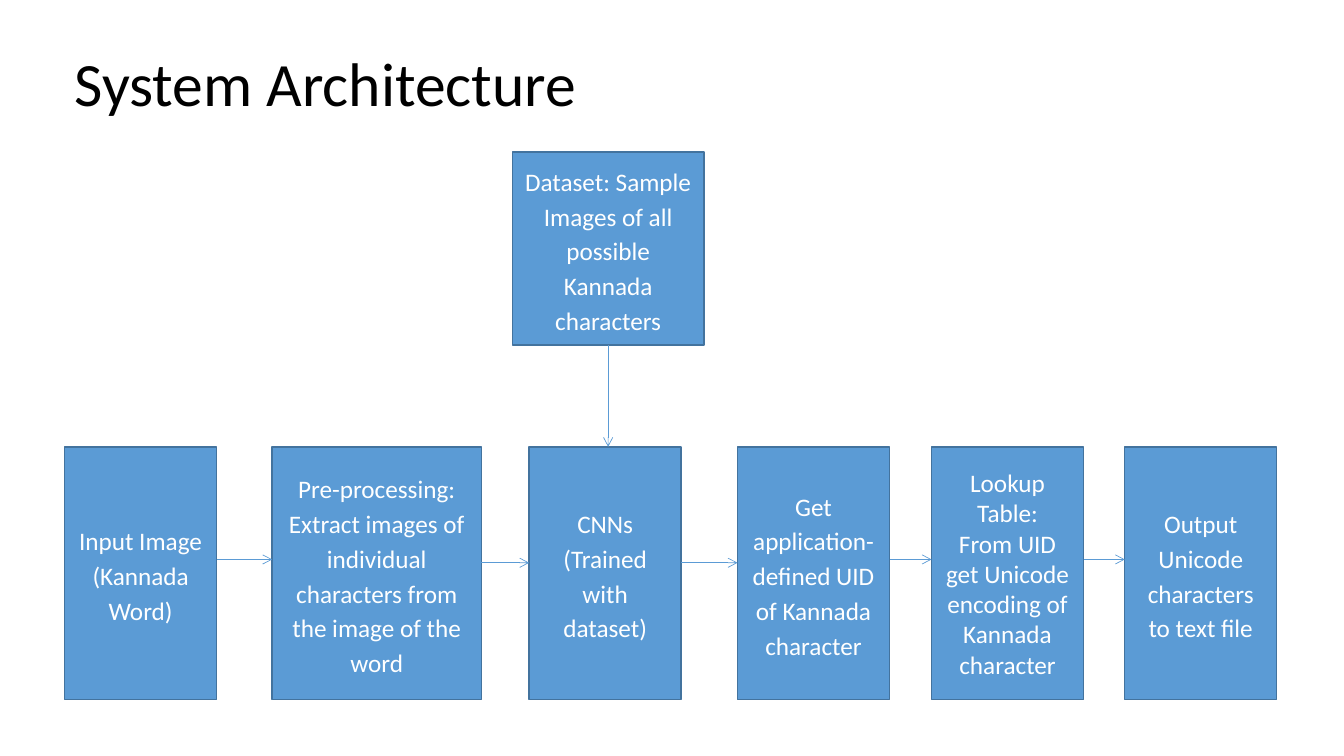
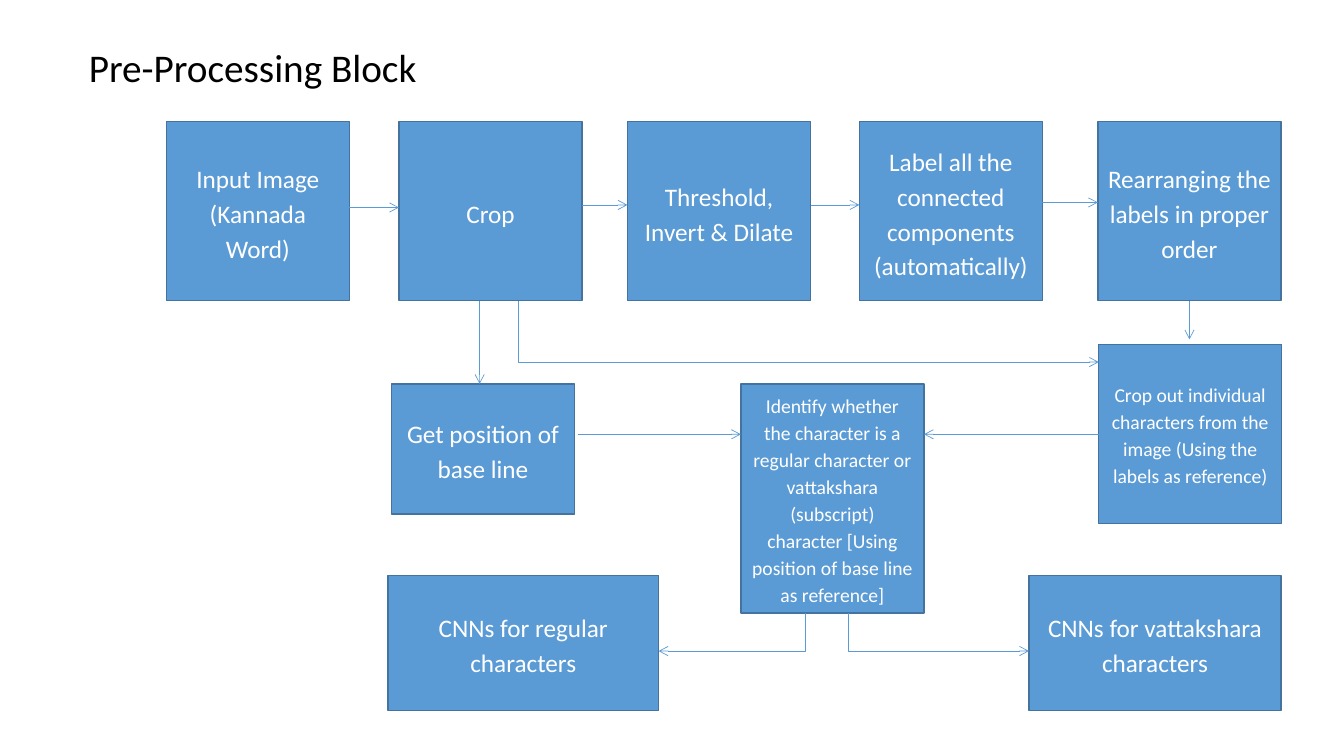
from dataclasses import dataclass
from lxml.etree import SubElement
from pptx import Presentation
from pptx.dml.color import RGBColor
from pptx.enum.shapes import MSO_CONNECTOR, MSO_SHAPE
from pptx.enum.text import MSO_ANCHOR, PP_ALIGN
from pptx.oxml.ns import qn
from pptx.util import Inches, Pt

BLUE = RGBColor(0x5B, 0x9B, 0xD5)
DARK_BLUE = RGBColor(0x43, 0x73, 0x9E)
WHITE = RGBColor(0xFF, 0xFF, 0xFF)
BLACK = RGBColor(0x00, 0x00, 0x00)
FONT = "Calibri"
COLUMNS, ROWS = 160, 90


@dataclass
class Box:
    """Place of a drawn box, in columns and rows."""
    left: float
    top: float
    width: float
    height: float

    @property
    def right(self):
        return self.left + self.width

    @property
    def bottom(self):
        return self.top + self.height


class FlowDeck:
    """Holds the presentation, its style and the current slide."""

    def __init__(self):
        self.presentation = Presentation()
        self.presentation.slide_width = Inches(13.33)
        self.presentation.slide_height = Inches(7.5)
        self.slide = None

    def column(self, count):
        return round(self.presentation.slide_width * count / COLUMNS)

    def row(self, count):
        return round(self.presentation.slide_height * count / ROWS)

    def place(self, left, top, width, height):
        return self.column(left), self.row(top), self.column(width), self.row(height)

    def add_slide(self):
        self.slide = self.presentation.slides.add_slide(self.presentation.slide_layouts[6])

    def add_run(self, paragraph, text, size, color):
        run = paragraph.add_run()
        run.text = text
        run.font.name = FONT
        run.font.size = Pt(size)
        run.font.color.rgb = color

    def title(self, text, left, top, width, height, size):
        shape = self.slide.shapes.add_textbox(*self.place(left, top, width, height))
        shape.text_frame.word_wrap = True
        self.add_run(shape.text_frame.paragraphs[0], text, size, BLACK)

    def box(self, lines, left, top, width, height, size=18, spacing=1.15, after=10,
            kind=MSO_SHAPE.RECTANGLE):
        shape = self.slide.shapes.add_shape(kind, *self.place(left, top, width, height))
        shape.shadow.inherit = False
        shape.fill.solid()
        shape.fill.fore_color.rgb = BLUE
        shape.line.color.rgb = DARK_BLUE
        shape.line.width = Pt(1)
        frame = shape.text_frame
        frame.word_wrap = True
        frame.vertical_anchor = MSO_ANCHOR.MIDDLE
        for index, line in enumerate(lines):
            paragraph = frame.add_paragraph() if index else frame.paragraphs[0]
            paragraph.alignment = PP_ALIGN.CENTER
            paragraph.line_spacing = spacing
            paragraph.space_after = Pt(after)
            self.add_run(paragraph, line, size, WHITE)
        return Box(left, top, width, height)

    def arrow(self, start, end, kind=MSO_CONNECTOR.STRAIGHT):
        connector = self.slide.shapes.add_connector(
            kind, self.column(start[0]), self.row(start[1]),
            self.column(end[0]), self.row(end[1]))
        connector.line.color.rgb = BLUE
        connector.line.width = Pt(0.5)
        SubElement(connector.line._get_or_add_ln(), qn("a:tailEnd"), type="arrow")
        SubElement(connector._element.spPr, qn("a:effectLst"))
        return connector

    def elbow(self, start, end):
        """Arrow that runs vertically first, then horizontally."""
        connector = self.arrow(start, end, MSO_CONNECTOR.ELBOW)
        adjustments = connector._element.spPr.find(".//" + qn("a:avLst"))
        SubElement(adjustments, qn("a:gd"), name="adj1", fmla="val 0")

    def chain(self, boxes, levels):
        """Arrows from each box to the next, one at each level."""
        for source, target, level in zip(boxes, boxes[1:], levels):
            self.arrow((source.right, level), (target.left, level))


def system_architecture(deck):
    deck.add_slide()
    deck.title("System Architecture", 7.7, 4.7, 82, 7.6, 44)
    plain = {"after": 0}
    single = {"after": 0, "spacing": 1}
    steps = [
        (7.7, 18.1, ["Input Image (Kannada Word)"], {}),
        (32.4, 24.9, ["Pre-processing:",
                      "Extract images of individual characters from the image of the word"], plain),
        (63, 18.1, ["CNNs (Trained with dataset)"], {}),
        (87.8, 18.1, ["Get application-defined UID of Kannada character"], {}),
        (110.9, 18.1, ["Lookup Table:",
                       "From UID get Unicode encoding of Kannada character"], single),
        (133.9, 18.1, ["Output Unicode characters to text file"], {}),
    ]
    boxes = [deck.box(lines, left, 53.2, width, 30.1, **style)
             for left, width, lines, style in steps]
    dataset = deck.box(["Dataset: Sample Images of all possible Kannada characters"],
                       61, 18.1, 22.8, 23, kind=MSO_SHAPE.FLOWCHART_PROCESS)
    deck.chain(boxes, [66.6, 67, 67, 66.6, 66.6])
    deck.arrow((72.4, dataset.bottom), (72.4, boxes[2].top))


def preprocessing_block(deck):
    deck.add_slide()
    deck.title("Pre-Processing Block", 9.4, 4.6, 47.8, 6.8, 28)
    width, height = 21.8, 21.3
    steps = [
        (19.8, "Input Image (Kannada Word)"),
        (47.5, "Crop"),
        (74.7, "Threshold, Invert & Dilate"),
        (102.3, "Label all the connected components (automatically)"),
        (130.7, "Rearranging the labels in proper order"),
    ]
    boxes = [deck.box([text], left, 14.5, width, height) for left, text in steps]
    crop, rearrange = boxes[1], boxes[-1]
    base_line = deck.box(["Get position of base line"], 46.6, 45.7, width, 15.5)
    characters = deck.box(
        ["Crop out individual characters from the image (Using the labels as reference)"],
        130.8, 41, width, height, size=14)
    identify = deck.box(
        ["Identify whether the character is a regular character or vattakshara (subscript) "
         "character [Using position of base line as reference]"],
        88.2, 45.7, width, 27.3, size=14)
    regular = deck.box(["CNNs for regular characters"], 46.2, 68.5, 32.2, 16.1)
    vattakshara = deck.box(["CNNs for vattakshara characters"], 122.5, 68.5, 30, 16.1)

    deck.chain(boxes, [24.7, 24.4, 24.4, 24.1])
    deck.arrow((57.1, crop.bottom), (57.1, base_line.top))
    deck.arrow((141.6, rearrange.bottom), (141.6, 40.4))
    deck.arrow((68.8, 51.7), (identify.left, 51.7))
    deck.arrow((characters.left, 51.7), (identify.right, 51.7))
    deck.elbow((61.7, crop.bottom), (characters.left, 43.1))
    deck.elbow((95.9, identify.bottom), (regular.right, 77.5))
    deck.elbow((101, identify.bottom), (vattakshara.left, 77.5))


def main():
    deck = FlowDeck()
    system_architecture(deck)
    preprocessing_block(deck)
    deck.presentation.save("out.pptx")


if __name__ == "__main__":
    main()
